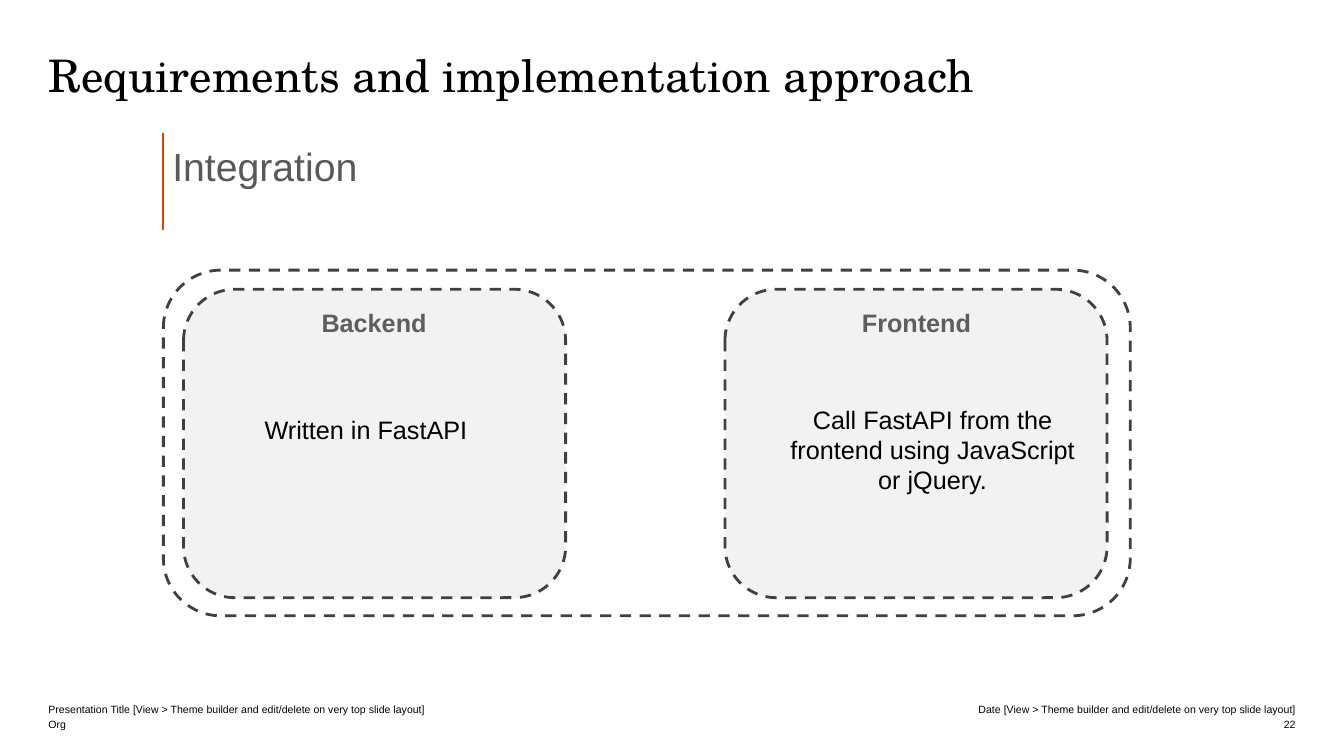
import pptx
import pptx.util
import pptx.dml.color
import pptx.enum.dml
import pptx.enum.shapes
import pptx.enum.text
import pptx.oxml.ns
import lxml.etree

WIDTH, HEIGHT = 13.33, 7.5
MARGIN = 0.48
RIGHT = 12.85
FRAME = (1.62, 2.68, 9.59, 3.43)
PANEL_TOP, PANEL_WIDTH, PANEL_HEIGHT = 2.87, 3.79, 3.06
LABEL_WIDTH, LABEL_HEIGHT = 3.18, 0.4

TITLE = "Requirements and implementation approach"
SECTION = "Integration"
HINT = "[View > Theme builder and edit/delete on very top slide layout]"
FOOTER_ROWS = [
    (6.95, f"Presentation Title {HINT}", f"Date {HINT}"),
    (7.1, "Org", "22"),
]
PANELS = [
    {"left": 1.82, "heading": "Backend", "heading_left": 2.12,
     "body": "Written in FastAPI", "body_at": (2.04, 4.06), "body_height": 0.4},
    {"left": 7.19, "heading": "Frontend", "heading_left": 7.5,
     "body": "Call FastAPI from the frontend using JavaScript or jQuery.",
     "body_at": (7.66, 3.96), "body_height": 1.01},
]

ALIGN = pptx.enum.text.PP_ALIGN
ANCHOR = pptx.enum.text.MSO_ANCHOR
SMALL = {"size": pptx.util.Pt(7.5)}
BODY = {"size": pptx.util.Pt(18)}
HEADING = {"size": pptx.util.Pt(18), "bold": True}


def color(value):
    return pptx.dml.color.RGBColor.from_string(value)


def inches(values):
    return [pptx.util.Inches(value) for value in values]


def add_text(page, at, text, font, ink="000000", align=ALIGN.LEFT,
             anchor=ANCHOR.TOP, inset=(0, 0), spacing=None):
    box = page.shapes.add_textbox(*inches(at))
    side, end = inches(inset)
    frame = {"word_wrap": True, "vertical_anchor": anchor, "margin_left": side,
             "margin_right": side, "margin_top": end, "margin_bottom": end}
    for name, value in frame.items():
        setattr(box.text_frame, name, value)
    para = box.text_frame.paragraphs[0]
    for name, value in {"alignment": align, **(spacing or {})}.items():
        setattr(para, name, value)
    span = para.add_run()
    span.text = text
    for name, value in {"name": "Arial", **font}.items():
        setattr(span.font, name, value)
    span.font.color.rgb = color(ink)


def add_label(page, at, text, font, ink="000000"):
    add_text(page, at, text, font, ink, ALIGN.CENTER, inset=(0.1, 0.05))


def add_dashed_box(page, at, fill=None):
    kind = pptx.enum.shapes.MSO_SHAPE.ROUNDED_RECTANGLE
    box = page.shapes.add_shape(kind, *inches(at))
    box.shadow.inherit = False
    if fill:
        box.fill.solid()
        box.fill.fore_color.rgb = color(fill)
    else:
        box.fill.background()
    box.line.color.rgb = color("404040")
    box.line.width = pptx.util.Pt(2)
    box.line.dash_style = pptx.enum.dml.MSO_LINE.DASH


def add_section(page):
    straight = pptx.enum.shapes.MSO_CONNECTOR.STRAIGHT
    rule = page.shapes.add_connector(straight, *inches((FRAME[0], 1.32, FRAME[0], 2.28)))
    rule.line.color.rgb = color("CD4800")
    rule.line.width = pptx.util.Pt(1.5)
    lxml.etree.SubElement(rule.element.spPr, pptx.oxml.ns.qn("a:effectLst"))
    spacing = {"line_spacing": 0.85, "space_after": pptx.util.Pt(3)}
    add_text(page, (1.71, 1.48, 2.5, 0.52), SECTION, {"size": pptx.util.Pt(28)},
             "595959", spacing=spacing)


def add_panels(page):
    add_dashed_box(page, FRAME)
    for panel in PANELS:
        add_dashed_box(page, (panel["left"], PANEL_TOP, PANEL_WIDTH, PANEL_HEIGHT), "F2F2F2")
        add_label(page, (*panel["body_at"], LABEL_WIDTH, panel["body_height"]),
                  panel["body"], BODY)
        add_label(page, (panel["heading_left"], 3, LABEL_WIDTH, LABEL_HEIGHT),
                  panel["heading"], HEADING, "5E5E5E")


def add_footer(page):
    for top, left_text, right_text in FOOTER_ROWS:
        for text, width, left, align in [(left_text, 5.99, MARGIN, ALIGN.LEFT),
                                         (right_text, 3.86, RIGHT - 3.86, ALIGN.RIGHT)]:
            add_text(page, (left, top, width, 0.15), text, SMALL,
                     align=align, anchor=ANCHOR.BOTTOM)


def main():
    """Build the integration slide."""
    deck = pptx.Presentation()
    deck.slide_width, deck.slide_height = inches((WIDTH, HEIGHT))
    page = deck.slides.add_slide(deck.slide_layouts[6])
    add_text(page, (MARGIN, 0.47, RIGHT - MARGIN, 0.55), TITLE,
             {"name": "TeX Gyre Schola", "size": pptx.util.Pt(32)})
    add_section(page)
    add_panels(page)
    add_footer(page)
    deck.save("out.pptx")


if __name__ == "__main__":
    main()
